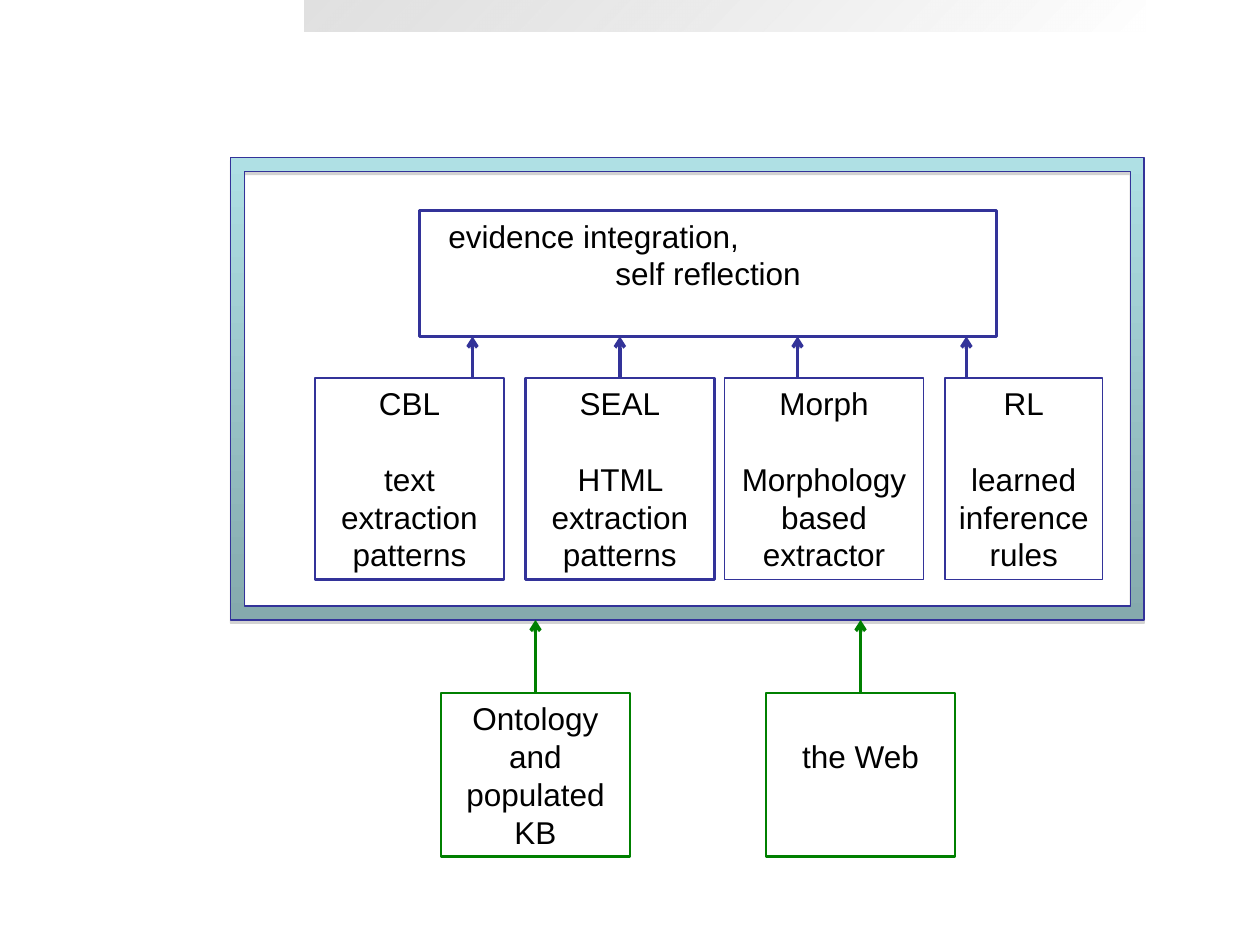
from lxml.etree import SubElement
from pptx import Presentation
from pptx.dml.color import RGBColor
from pptx.enum.shapes import MSO_CONNECTOR, MSO_SHAPE
from pptx.enum.text import MSO_ANCHOR, PP_ALIGN
from pptx.oxml.ns import qn
from pptx.util import Inches, Pt

BLACK = RGBColor(0x00, 0x00, 0x00)
WHITE = RGBColor(0xFF, 0xFF, 0xFF)
SILVER = RGBColor(0xC0, 0xC0, 0xC0)
BLUE = RGBColor(0x33, 0x33, 0x99)
GREEN = RGBColor(0x00, 0x80, 0x00)
LIGHT_TEAL = RGBColor(0xAF, 0xE0, 0xE4)
DARK_TEAL = RGBColor(0x85, 0xAA, 0xAD)

LINE_PITCH = Pt(21.6)
FRAME = (1.83, 1.25, 7.25, 3.67)
FRAME_THICKNESS = 0.11
INTEGRATION = (3.33, 1.67, 4.58, 1)
INTEGRATION_LINES = ["evidence integration,", "self reflection"]
EXTRACTOR_TOP, EXTRACTOR_HEIGHT = 3, 1.6
SOURCE_TOP, SOURCE_HEIGHT = 5.5, 1.3

# name, description, left, width, border, arrow position
EXTRACTORS = [
    ("CBL", "text extraction patterns", 2.5, 1.5, 1.5, 3.75),
    ("SEAL", "HTML extraction patterns", 4.17, 1.5, 1.5, 4.92),
    ("Morph", "Morphology based extractor", 5.75, 1.58, 1, 6.33),
    ("RL", "learned inference rules", 7.5, 1.25, 1, 7.67),
]
# text, left, width, top inset
SOURCES = [
    ("Ontology and populated KB", 3.5, 1.5, 0.05),
    ("the Web", 6.08, 1.5, 0.35),
]


def add_gradient(shape, colors, angle, opacities=()):
    shape.fill.gradient()
    shape.fill.gradient_angle = 360 - angle
    for stop, color in zip(shape.fill.gradient_stops, colors):
        stop.color.rgb = color
    colors_xml = shape._element.spPr.iter(qn("a:srgbClr"))
    for color_xml, opacity in zip(colors_xml, opacities):
        SubElement(color_xml, qn("a:alpha"), val=str(opacity * 1000))


def add_drop_shadow(shape):
    effects = SubElement(shape._element.spPr, qn("a:effectLst"))
    shadow = SubElement(effects, qn("a:outerShdw"), dist=str(Pt(1.8)),
                        dir="5400000", rotWithShape="0")
    color = SubElement(shadow, qn("a:srgbClr"), val="808080")
    SubElement(color, qn("a:alpha"), val="35000")


def add_box(slide, place, lines, color, border, top_inset=0.05):
    shape = slide.shapes.add_shape(MSO_SHAPE.RECTANGLE, *map(Inches, place))
    shape.shadow.inherit = False
    shape.fill.background()
    shape.line.color.rgb = color
    shape.line.width = Pt(border)
    frame = shape.text_frame
    frame.word_wrap = True
    frame.vertical_anchor = MSO_ANCHOR.TOP
    frame.margin_top = Inches(top_inset)
    frame.text = "\n".join(lines)
    for paragraph in frame.paragraphs:
        paragraph.alignment = PP_ALIGN.CENTER
        paragraph.line_spacing = LINE_PITCH
        for run in paragraph.runs:
            run.font.name = "Arial"
            run.font.size = Pt(18)
            run.font.color.rgb = BLACK
    return shape


def add_up_arrow(slide, x, bottom, top, color):
    arrow = slide.shapes.add_connector(
        MSO_CONNECTOR.STRAIGHT, *map(Inches, (x, bottom, x, top)))
    arrow.line.color.rgb = color
    arrow.line.width = Pt(2)
    SubElement(arrow.line._get_or_add_ln(), qn("a:tailEnd"), type="arrow")
    SubElement(arrow._element.spPr, qn("a:effectLst"))


presentation = Presentation()
presentation.slide_width = Inches(10)
presentation.slide_height = Inches(7.5)
slide = presentation.slides.add_slide(presentation.slide_layouts[6])

top_bar = slide.shapes.add_shape(
    MSO_SHAPE.RECTANGLE, *map(Inches, (2.42, 0, 6.67, 0.25)))
top_bar.shadow.inherit = False
top_bar.line.fill.background()
add_gradient(top_bar, (SILVER, WHITE), 45, (48, 68))

system_frame = slide.shapes.add_shape(MSO_SHAPE.FRAME, *map(Inches, FRAME))
system_frame.adjustments[0] = FRAME_THICKNESS / FRAME[3]
add_gradient(system_frame, (LIGHT_TEAL, DARK_TEAL), 90)
system_frame.line.color.rgb = BLUE
system_frame.line.width = Pt(0.75)
add_drop_shadow(system_frame)

integration = add_box(slide, INTEGRATION, INTEGRATION_LINES, BLUE, 1.5)
first_line = integration.text_frame.paragraphs[0]
first_line.alignment = PP_ALIGN.LEFT
first_line._p.get_or_add_pPr().set("marL", str(Inches(0.13)))

integration_bottom = INTEGRATION[1] + INTEGRATION[3]
for name, description, left, width, border, arrow_x in EXTRACTORS:
    place = (left, EXTRACTOR_TOP, width, EXTRACTOR_HEIGHT)
    extractor = add_box(slide, place, [name, description], BLUE, border)
    extractor.text_frame.paragraphs[1].space_before = LINE_PITCH
    add_up_arrow(slide, arrow_x, EXTRACTOR_TOP, integration_bottom, BLUE)

frame_bottom = FRAME[1] + FRAME[3]
for text, left, width, top_inset in SOURCES:
    place = (left, SOURCE_TOP, width, SOURCE_HEIGHT)
    add_box(slide, place, [text], GREEN, 1.5, top_inset)
    add_up_arrow(slide, left + width / 2, SOURCE_TOP, frame_bottom, GREEN)

presentation.save("out.pptx")
